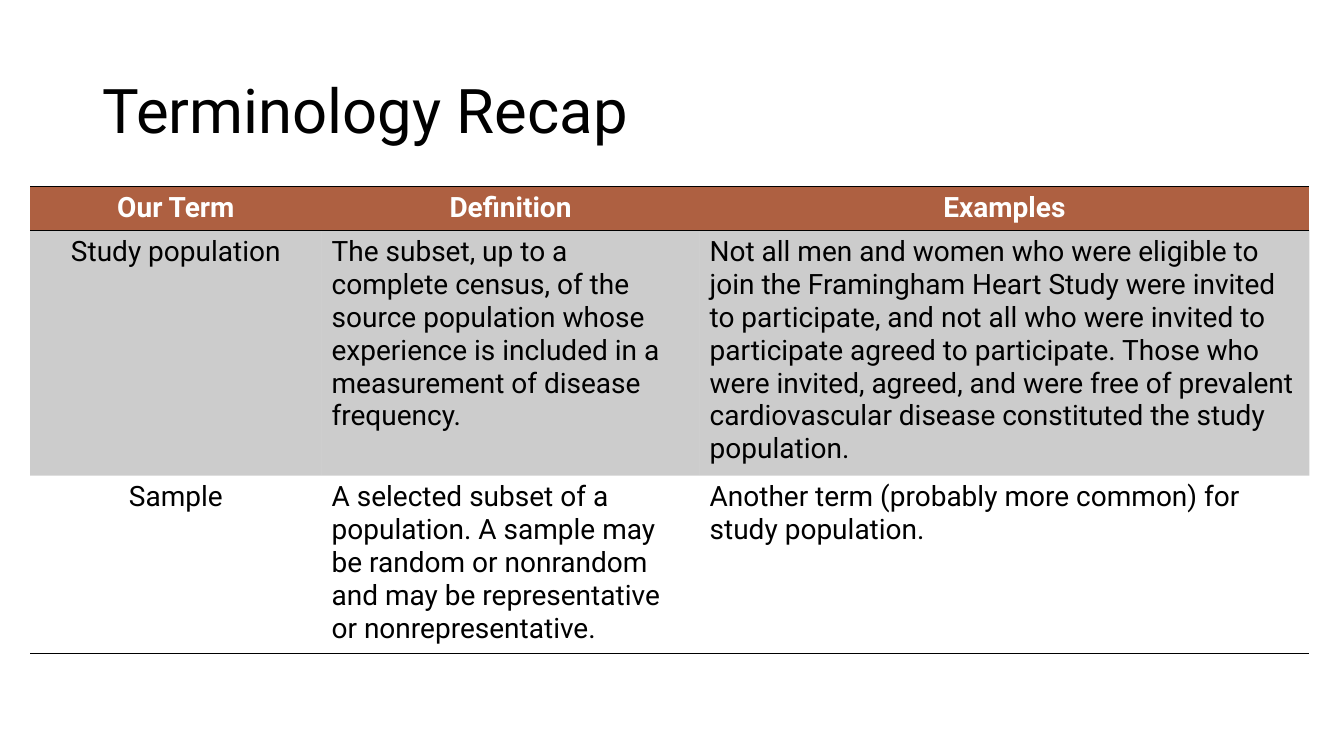
from dataclasses import dataclass

from lxml import etree
from pptx import Presentation
from pptx.dml.color import RGBColor
from pptx.enum import text
from pptx.oxml import ns
from pptx.util import Pt

COLORS = {"ink": "000000", "header": "AE6041", "paper": "FFFFFF"}
FONT = "Roboto"
NO_STYLE = "{2D5ABB26-0587-4C30-8999-92F81FD0307C}"
COLUMN_WIDTHS = (208.1, 270, 435.6)


@dataclass(frozen=True)
class RowStyle:
    height: float
    fill: str | None = None
    opacity: int = 100
    color: str = "ink"
    bold: bool = False
    borders: tuple[str, ...] = ()
    centered: tuple[int, ...] = (0,)


@dataclass(frozen=True)
class TermRow:
    style: RowStyle
    texts: tuple[str, str, str]


ROWS = (
    TermRow(
        RowStyle(31, "header", color="paper", bold=True,
                 borders=("lnT", "lnB"), centered=(0, 1, 2)),
        ("Our Term", "Definition", "Examples"),
    ),
    TermRow(
        RowStyle(171.5, "ink", opacity=20),
        (
            "Study population",
            "The subset, up to a complete census, of the source population "
            "whose experience is included in a measurement of disease frequency.",
            "Not all men and women who were eligible to join the Framingham "
            "Heart Study were invited to participate, and not all who were "
            "invited to participate agreed to participate. Those who were "
            "invited, agreed, and were free of prevalent cardiovascular "
            "disease constituted the study population.",
        ),
    ),
    TermRow(
        RowStyle(125, borders=("lnB",)),
        (
            "Sample",
            "A selected subset of a population. A sample may be random or "
            "nonrandom and may be representative or nonrepresentative.",
            "Another term (probably more common) for study population.",
        ),
    ),
)


def write(para, words: str, size: float, color: str, bold: bool = False) -> None:
    span = para.add_run()
    span.text = words
    formats = {"name": FONT, "size": Pt(size), "bold": bold}
    for name, value in formats.items():
        setattr(span.font, name, value)
    span.font.color.rgb = RGBColor.from_string(COLORS[color])


def add_border(properties, index: int, side: str) -> None:
    line = etree.Element(ns.qn(f"a:{side}"), w=str(Pt(1)))
    fill = etree.SubElement(line, ns.qn("a:solidFill"))
    etree.SubElement(fill, ns.qn("a:srgbClr"), val=COLORS["ink"])
    properties.insert(index, line)


def draw_cell(cell, words: str, style: RowStyle, centered: bool) -> None:
    properties = cell._tc.get_or_add_tcPr()
    if style.fill:
        cell.fill.solid()
        cell.fill.fore_color.rgb = RGBColor.from_string(COLORS[style.fill])
        if style.opacity < 100:
            color = properties.find(".//" + ns.qn("a:srgbClr"))
            etree.SubElement(color, ns.qn("a:alpha"), val=str(style.opacity * 1000))
    else:
        cell.fill.background()
    # Borders come before the fill in the cell properties
    for index, side in enumerate(style.borders):
        add_border(properties, index, side)
    para = cell.text_frame.paragraphs[0]
    para.alignment = text.PP_ALIGN.CENTER if centered else text.PP_ALIGN.LEFT
    write(para, words, 20, style.color, style.bold)


def draw_title(page) -> None:
    box = page.shapes.add_textbox(Pt(66.2), Pt(28.8), Pt(828), Pt(104.4))
    formats = {"word_wrap": True, "vertical_anchor": text.MSO_ANCHOR.MIDDLE}
    for name, value in formats.items():
        setattr(box.text_frame, name, value)
    para = box.text_frame.paragraphs[0]
    para.line_spacing = 0.9
    write(para, "Terminology Recap", 44, "ink")


def draw_table(page) -> None:
    height = sum(row.style.height for row in ROWS)
    table = page.shapes.add_table(
        len(ROWS), len(COLUMN_WIDTHS),
        Pt(21.6), Pt(133.2), Pt(sum(COLUMN_WIDTHS)), Pt(height),
    ).table
    table.horz_banding = False
    table._tbl.tblPr.find(ns.qn("a:tableStyleId")).text = NO_STYLE
    for column, width in zip(table.columns, COLUMN_WIDTHS):
        column.width = Pt(width)
    for line, row in zip(table.rows, ROWS):
        line.height = Pt(row.style.height)
        for index, (cell, words) in enumerate(zip(line.cells, row.texts)):
            draw_cell(cell, words, row.style, index in row.style.centered)


def main() -> None:
    deck = Presentation()
    deck.slide_width, deck.slide_height = Pt(960), Pt(540)
    page = deck.slides.add_slide(deck.slide_layouts[6])
    draw_title(page)
    draw_table(page)
    deck.save("out.pptx")


if __name__ == "__main__":
    main()
